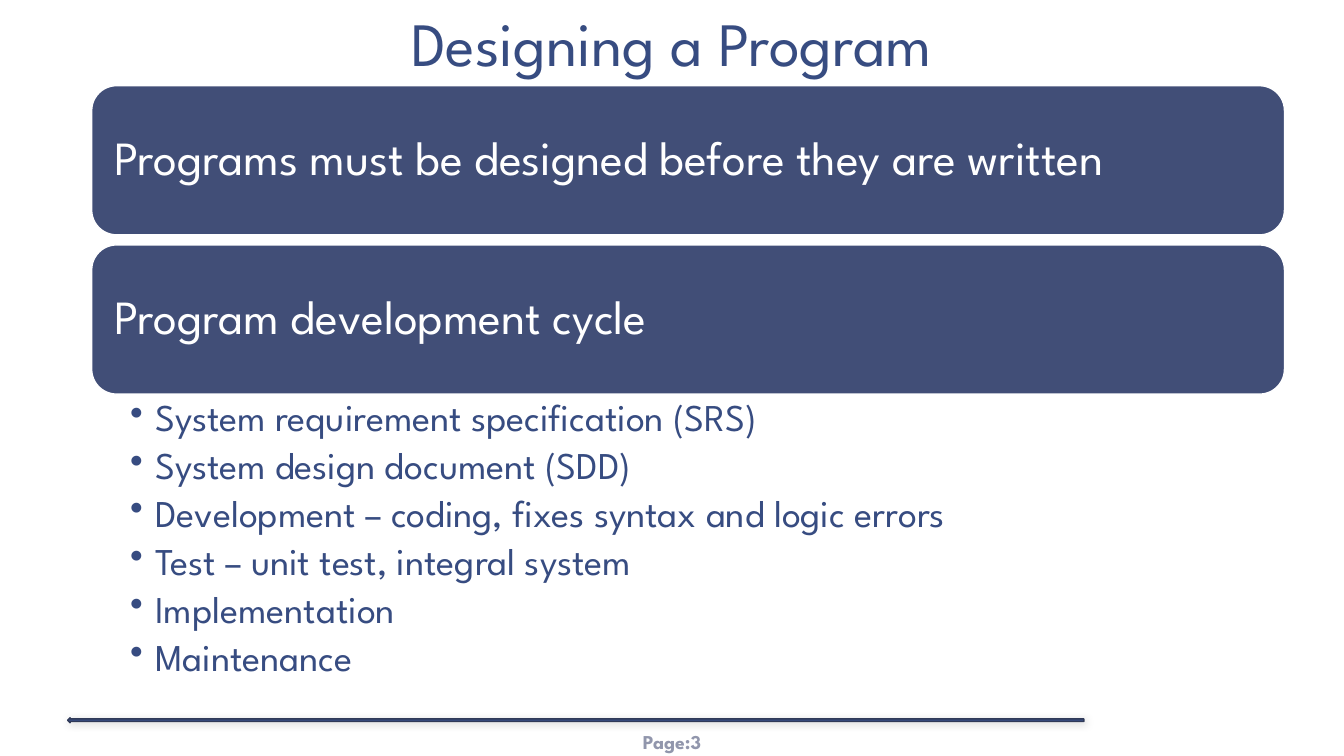
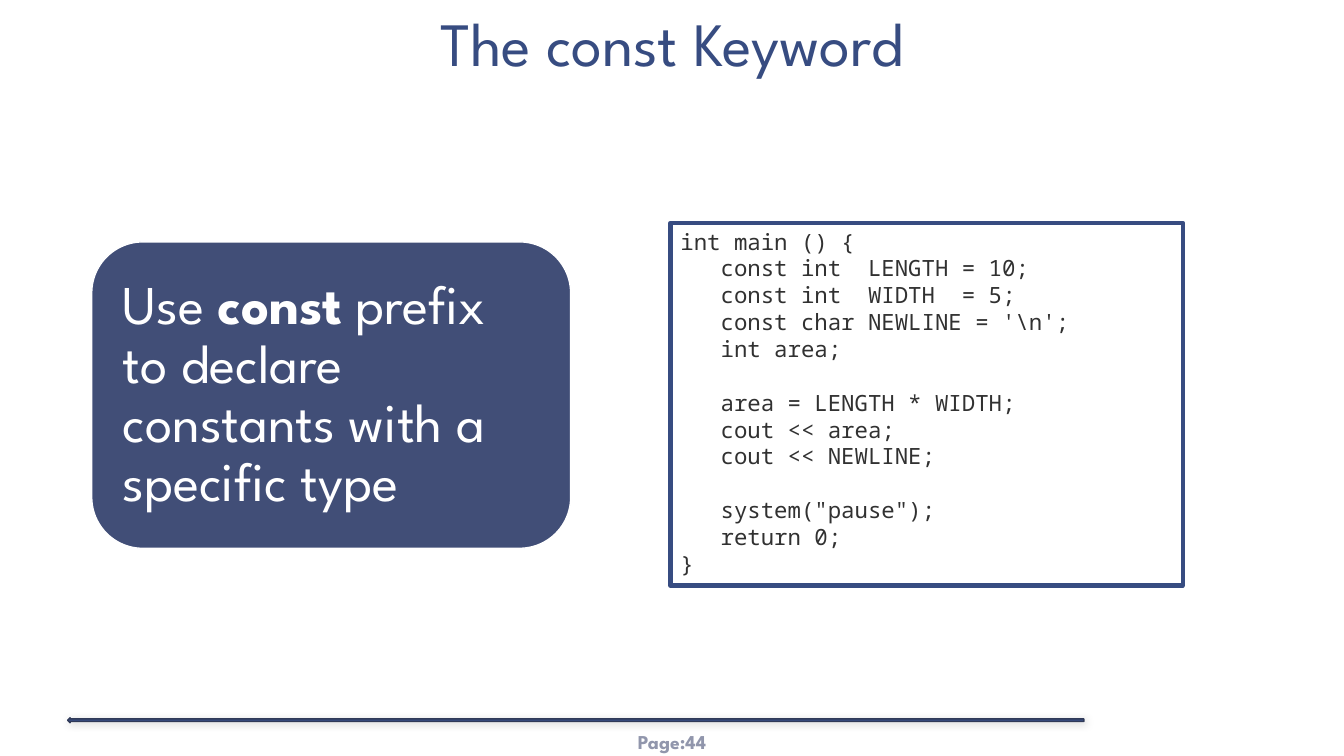
from lxml.etree import SubElement
from pptx import Presentation
from pptx.dml.color import RGBColor
from pptx.enum.shapes import MSO_SHAPE
from pptx.enum.text import MSO_ANCHOR, PP_ALIGN
from pptx.oxml.ns import qn
from pptx.util import Inches, Pt

BLUE = RGBColor(0x37, 0x4C, 0x81)
PANEL_BLUE = RGBColor(0x41, 0x4E, 0x77)
DARK_BLUE = RGBColor(0x30, 0x3A, 0x58)
PAGE_GREY = RGBColor(0x91, 0x96, 0xAC)
CODE_GREY = RGBColor(0x31, 0x31, 0x31)
WHITE = RGBColor(0xFF, 0xFF, 0xFF)
BODY_FONT = "League Spartan"
CODE_FONT = "Noto Sans Mono"


def write(shape, lines, size, color, font=BODY_FONT, bold_word=None, align=PP_ALIGN.LEFT,
          anchor=MSO_ANCHOR.MIDDLE, spacing=1.0, margins=(0.1, 0.05)):
    """Fill a shape with one paragraph per line and format its runs."""
    frame = shape.text_frame
    frame.word_wrap = True
    frame.vertical_anchor = anchor
    frame.margin_left = frame.margin_right = Inches(margins[0])
    frame.margin_top = frame.margin_bottom = Inches(margins[1])
    for index, line in enumerate(lines):
        paragraph = frame.paragraphs[0] if index == 0 else frame.add_paragraph()
        paragraph.alignment = align
        paragraph.line_spacing = spacing
        pieces = line.partition(bold_word) if bold_word else [line]
        for piece in pieces:
            run = paragraph.add_run()
            run.text = piece
            run.font.name = font
            run.font.size = Pt(size)
            run.font.color.rgb = color
            run.font.bold = piece == bold_word
    return frame.paragraphs


def add_block(slide, kind, box, fill, line, line_width=1):
    """Add a preset shape; a fill of None leaves it open."""
    block = slide.shapes.add_shape(kind, *map(Inches, box))
    block.shadow.inherit = False
    if fill is None:
        block.fill.background()
    else:
        block.fill.solid()
        block.fill.fore_color.rgb = fill
    block.line.color.rgb = line
    block.line.width = Pt(line_width)
    return block


prs = Presentation()
prs.slide_width = Inches(13.33)
prs.slide_height = Inches(7.5)

# Shared title, footer arrow and page number
slides = []
for title, page in [("Designing a Program", 3), ("The const Keyword", 44)]:
    slide = prs.slides.add_slide(prs.slide_layouts[6])
    slides.append(slide)

    page_label = slide.shapes.add_textbox(Inches(5.78), Inches(7.16), Inches(1.77), Inches(0.4))
    write(page_label, [f"Page:{page}"], 14, PAGE_GREY, bold_word=f"Page:{page}",
          align=PP_ALIGN.CENTER, margins=(0.04, 0.02))

    arrow = add_block(slide, MSO_SHAPE.LEFT_ARROW, (0.67, 7.12, 10.08, 0.05), BLUE, DARK_BLUE)
    effects = arrow.element.spPr.find(qn("a:effectLst"))
    shadow = SubElement(effects, qn("a:outerShdw"), blurRad=str(Pt(6)), dist=str(Pt(1)),
                        dir=str(45 * 60000), rotWithShape="0")
    shadow_color = SubElement(shadow, qn("a:srgbClr"), val="000000")
    SubElement(shadow_color, qn("a:alpha"), val="20000")

    heading = slide.shapes.add_textbox(0, 0, prs.slide_width, Inches(0.86))
    write(heading, [title], 44, BLUE, align=PP_ALIGN.CENTER, anchor=MSO_ANCHOR.BOTTOM,
          spacing=0.85, margins=(0.13, 0.07))

design_slide, const_slide = slides

# Slide 1: two statements and the steps of the cycle
statements = ["Programs must be designed before they are written", "Program development cycle"]
for row, statement in enumerate(statements):
    panel = add_block(design_slide, MSO_SHAPE.ROUNDED_RECTANGLE,
                      (0.91, 0.85 + row * 1.58, 11.83, 1.48), PANEL_BLUE, WHITE)
    write(panel, [statement], 34, WHITE, spacing=0.9, margins=(0.15, 0.15))

steps = [
    "System requirement specification (SRS)",
    "System design document (SDD)",
    "Development – coding, fixes syntax and logic errors",
    "Test – unit test, integral system",
    "Implementation",
    "Maintenance",
]
cycle = design_slide.shapes.add_textbox(Inches(0.91), Inches(3.91), Inches(11.83), Inches(3.08))
for step in write(cycle, steps, 27, BLUE, anchor=MSO_ANCHOR.TOP, spacing=0.9,
                  margins=(0.38, 0.05)):
    step.space_after = Pt(5)
    properties = step._p.get_or_add_pPr()
    properties.set("marL", str(Inches(0.25)))
    properties.set("indent", str(Inches(-0.25)))
    SubElement(properties, qn("a:buChar"), char="•")

# Slide 2: the rule beside its code sample
rule = add_block(const_slide, MSO_SHAPE.ROUNDED_RECTANGLE, (0.91, 2.4, 4.75, 3.04),
                 PANEL_BLUE, WHITE)
write(rule, ["Use const prefix to declare constants with a specific type"], 39, WHITE,
      bold_word="const", spacing=0.9, margins=(0.16, 0.16))

code = [
    "int main () {",
    "   const int  LENGTH = 10;",
    "   const int  WIDTH  = 5;",
    "   const char NEWLINE = '\\n';",
    "   int area;",
    "   area = LENGTH * WIDTH;",
    "   cout << area;",
    "   cout << NEWLINE;",
    "   system(\"pause\");",
    "   return 0;",
    "}",
]
section_starts = (5, 8)
listing = add_block(const_slide, MSO_SHAPE.RECTANGLE, (6.65, 2.21, 5.08, 3.6), None, BLUE, 3)
code_lines = write(listing, code, 16, CODE_GREY, font=CODE_FONT, anchor=MSO_ANCHOR.TOP)
for start in section_starts:
    code_lines[start].space_before = Pt(19.2)

prs.save("out.pptx")
